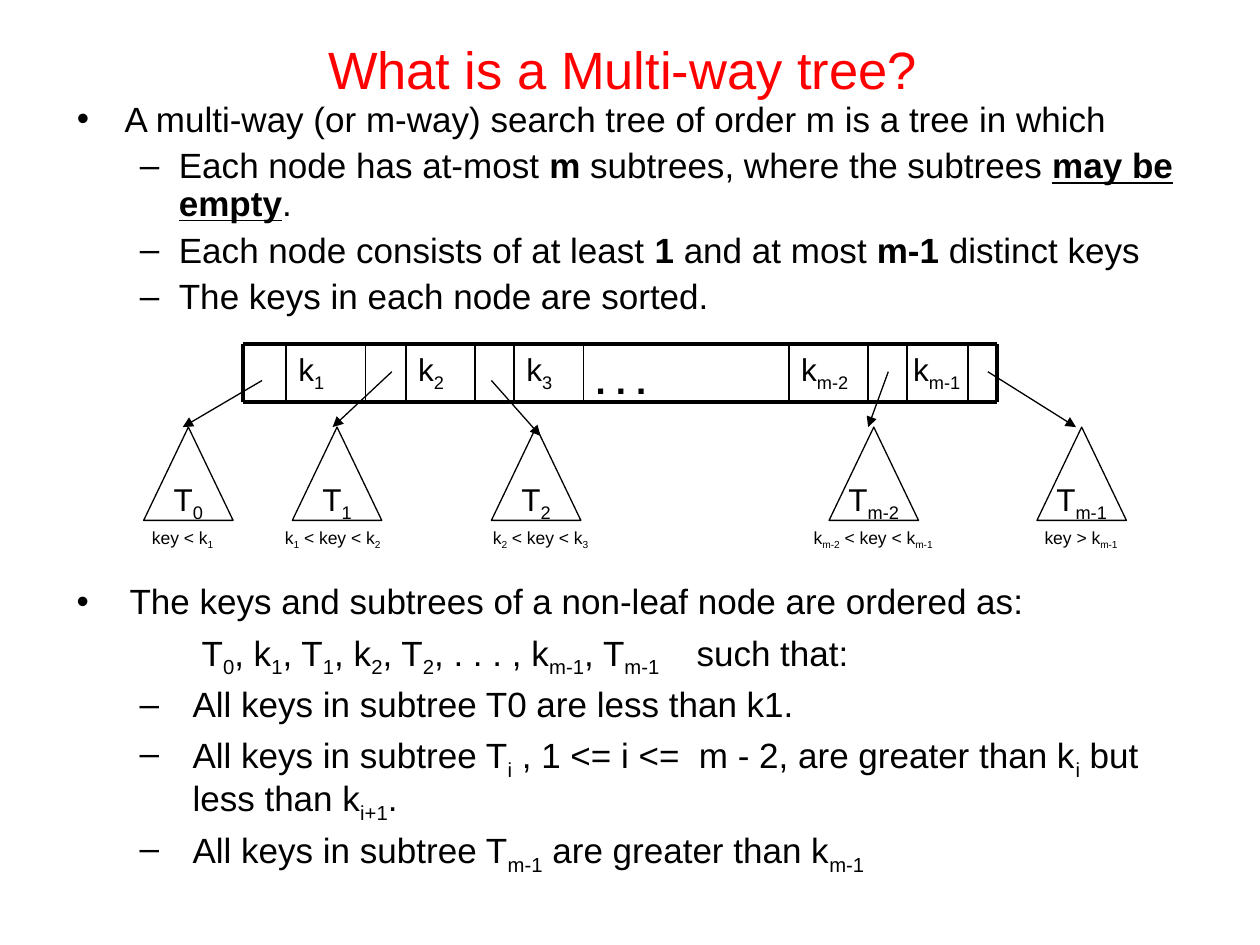
from dataclasses import dataclass

from lxml.etree import SubElement
from pptx import Presentation
from pptx.dml.color import RGBColor
from pptx.enum.shapes import MSO_CONNECTOR, MSO_SHAPE
from pptx.enum.text import MSO_ANCHOR, MSO_AUTO_SIZE, PP_ALIGN
from pptx.oxml.ns import qn
from pptx.util import Inches, Pt


@dataclass(frozen=True)
class Theme:
    font: str = "Arial"
    ink: RGBColor = RGBColor(0, 0, 0)
    accent: RGBColor = RGBColor(0xFF, 0, 0)
    title: int = 30
    body: int = 20
    key: int = 18
    dots: int = 36
    caption: int = 10
    thick: float = 2.25
    divider: float = 1
    thin: float = 0.75


class SlideBuilder:
    """Holds the theme and the current slide."""

    def __init__(self, slide, theme):
        self.s = slide
        self.theme = theme

    def runs(self, p, text, size, color=None):
        """Pieces split by |: _ lowers, ^ raises in bold, * is bold, + bold underlined."""
        for piece in text.split("|"):
            mark = piece[0] if piece[0] in "_^*+" else ""
            r = p.add_run()
            r.text = piece[len(mark):]
            r.font.name = self.theme.font
            r.font.size = Pt(size)
            r.font.color.rgb = color or self.theme.ink
            if mark in ("^", "*", "+"):
                r.font.bold = True
            if mark == "+":
                r.font.underline = True
            if mark in ("_", "^"):
                r._r.get_or_add_rPr().set("baseline", "-25000" if mark == "_" else "30000")

    def place(self, sp, box):
        sp.left, sp.top, sp.width, sp.height = map(Inches, box)
        sp.text_frame.word_wrap = True
        sp.text_frame.auto_size = MSO_AUTO_SIZE.NONE
        return sp.text_frame

    def title(self, text, box):
        tf = self.place(self.s.shapes.title, box)
        tf.vertical_anchor = MSO_ANCHOR.MIDDLE
        p = tf.paragraphs[0]
        p.alignment = PP_ALIGN.CENTER
        self.runs(p, text, self.theme.title, self.theme.accent)

    def bullets(self, sp, box, items, indents):
        """Items are (kind, text); indents maps a kind to (left, hanging)."""
        tf = self.place(sp, box)
        for i, (kind, text) in enumerate(items):
            p = tf.paragraphs[0] if i == 0 else tf.add_paragraph()
            left, hanging = indents[kind]
            pPr = p._p.get_or_add_pPr()
            pPr.set("marL", str(Inches(left)))
            pPr.set("indent", str(-Inches(hanging)))
            if kind == "formula":
                SubElement(pPr, qn("a:buNone"))
                tabs = SubElement(pPr, qn("a:tabLst"))
                for pos in range(8):
                    SubElement(tabs, qn("a:tab"), pos=str(Inches(pos)), algn="l")
            else:
                SubElement(pPr, qn("a:buFont"), typeface=self.theme.font)
                SubElement(pPr, qn("a:buChar"), char=kind)
            p.level = 1 if kind == "–" else 0
            p.line_spacing = 1.0 if kind == "formula" else 0.9
            p.space_before = Pt(5 if i else 0)
            self.runs(p, text, self.theme.body)

    def label(self, text, box, size, align=PP_ALIGN.LEFT):
        tf = self.place(self.s.shapes.add_textbox(0, 0, 0, 0), box)
        p = tf.paragraphs[0]
        p.alignment = align
        self.runs(p, text, size)

    def line(self, start, end, weight, arrow=False):
        cx = self.s.shapes.add_connector(
            MSO_CONNECTOR.STRAIGHT, *map(Inches, (*start, *end)))
        cx.line.color.rgb = self.theme.ink
        cx.line.width = Pt(weight)
        if arrow:
            SubElement(cx.line._get_or_add_ln(), qn("a:tailEnd"), type="triangle")
        SubElement(cx._element.spPr, qn("a:effectLst"))

    def subtree(self, text, box):
        sp = self.s.shapes.add_shape(
            MSO_SHAPE.FLOWCHART_EXTRACT, *map(Inches, box))
        sp.shadow.inherit = False
        sp.fill.background()
        sp.line.color.rgb = self.theme.ink
        sp.line.width = Pt(self.theme.thin)
        tf = sp.text_frame
        tf.word_wrap = False
        tf.vertical_anchor = MSO_ANCHOR.TOP
        p = tf.paragraphs[0]
        p.alignment = PP_ALIGN.CENTER
        self.runs(p, text, self.theme.key)


INTRO = [
    ("•", "A multi-way (or m-way) search tree of order m is a tree in which"),
    ("–", "Each node has at-most |*m| subtrees, where the subtrees |+may be empty|."),
    ("–", "Each node consists of at least |*1| and at most |*m-1| distinct keys"),
    ("–", "The keys in each node are sorted."),
]
ORDERING = [
    ("•", "The keys and subtrees of a non-leaf node are ordered as:"),
    ("formula", "\t\t T|_0|, k|_1|, T|_1|, k|_2|, T|_2|, . . . , k|_m-1|, T|_m-1\t|such that:"),
    ("–", "All keys in subtree T0 are less than k1."),
    ("–", "All keys in subtree T|_i| , 1 <= i <=  m - 2, are greater than k|_i"
          "| but less than k|_i+1|."),
    ("–", "All keys in subtree T|_m-1| are greater than k|_m-1"),
]

# Node geometry: cell edges, top and bottom
EDGES = [1.93, 2.27, 2.9, 3.22, 3.77, 4.08, 4.63, 6.26, 6.89, 7.2, 7.68, 7.91]
TOP, BOTTOM = 2.73, 3.19
# Text and the index of its cell's left edge
KEYS = [("k|_1", 1), ("k|_2", 3), ("k|_3", 5), ("k|_m-2", 7)]
# Subtree name, left, arrow start and end, caption, caption left and width
SUBTREES = [
    ("T|_0", 1.14, (2.08, 3.02), (1.45, 3.39), "key < k|_1", 0.9, 1.1),
    ("T|_1", 2.32, (3.11, 2.95), (2.64, 3.39), "k|_1| < key < k|_2", 2.09, 1.1),
    ("T|_2", 3.9, (3.9, 3.02), (4.29, 3.46), "k|_2| < key < k|_3", 3.74, 1.1),
    ("T|_m-2", 6.58, (7.05, 2.95), (6.89, 3.39), "k|_m-2| < key < k|_m-1", 6.18, 1.5),
    ("T|_m-1", 8.23, (7.84, 2.95), (8.54, 3.39), "key > k|_m-1", 8.07, 1.02),
]


def main():
    prs = Presentation()
    prs.slide_width, prs.slide_height = Inches(10), Inches(7.5)
    s = prs.slides.add_slide(prs.slide_layouts[1])
    theme = Theme()
    b = SlideBuilder(s, theme)

    # Title and lists
    b.title("What is a Multi-way tree? ", (0.5, 0.17, 9, 0.75))
    b.bullets(s.placeholders[1], (0.51, 0.76, 9, 1.89), INTRO,
              {"•": (0.38, 0.38), "–": (0.81, 0.31)})
    b.bullets(s.shapes.add_textbox(0, 0, 0, 0), (0.51, 4.59, 9, 2.91), ORDERING,
              {"•": (0.42, 0.42), "formula": (0.42, 0.42), "–": (0.92, 0.42)})

    # Keys in the node
    for text, i in KEYS:
        b.label(text, (EDGES[i], TOP, EDGES[i + 1] - EDGES[i], 0.47), theme.key)
    b.label("^. . .", (EDGES[6], TOP, EDGES[7] - EDGES[6], 0.47), theme.dots)
    b.label("k|_m-1", (7.13, TOP, 0.61, 0.44), theme.key, PP_ALIGN.CENTER)

    # Node frame and dividers
    for y in (TOP, BOTTOM):
        b.line((EDGES[0], y), (EDGES[-1], y), theme.thick)
    for x in EDGES:
        outer = x in (EDGES[0], EDGES[-1])
        b.line((x, TOP), (x, BOTTOM), theme.thick if outer else theme.divider)

    # Subtrees with arrows and key ranges
    for name, left, start, end, caption, cap_left, cap_width in SUBTREES:
        b.subtree(name, (left, 3.39, 0.71, 0.74))
        b.line(start, end, theme.thin, arrow=True)
        b.label(caption, (cap_left, 4.13, cap_width, 0.29), theme.caption, PP_ALIGN.CENTER)

    prs.save("out.pptx")


if __name__ == "__main__":
    main()
